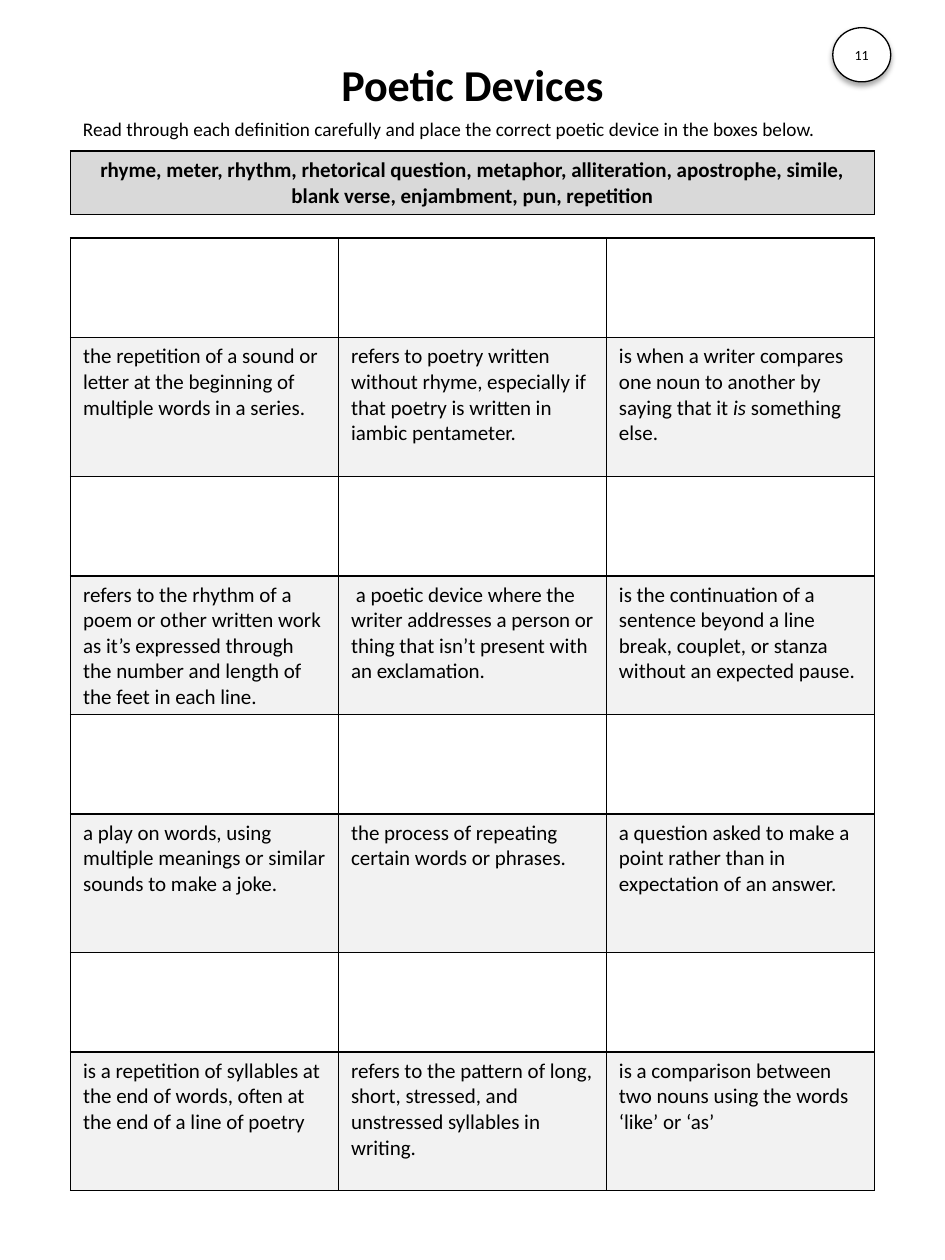
from lxml import etree
from pptx import Presentation
from pptx.dml.color import RGBColor
from pptx.enum import shapes, text
from pptx.oxml import ns
from pptx.util import Inches, Pt

TITLE = "Poetic Devices"
INSTRUCTION = ("Read through each definition carefully and place the correct "
               "poetic device in the boxes below.")
WORD_BANK = ("rhyme, meter, rhythm, rhetorical question, metaphor, alliteration, "
             "apostrophe, simile, blank verse, enjambment, pun, repetition")
PAGE_NUMBER = "11"
# A definition is a string, or a list of (words, italic) pieces
DEFINITIONS = [
    ["the repetition of a sound or letter at the beginning of multiple words in a series.",
     "refers to poetry written without rhyme, especially if that poetry is written in "
     "iambic pentameter.",
     [("is when a writer compares one noun to another by saying that it ", False),
      ("is", True), (" something else.", False)]],
    ["refers to the rhythm of a poem or other written work as it’s expressed through "
     "the number and length of the feet in each line.",
     " a poetic device where the writer addresses a person or thing that isn’t present "
     "with an exclamation.",
     "is the continuation of a sentence beyond a line break, couplet, or stanza without "
     "an expected pause."],
    ["a play on words, using multiple meanings or similar sounds to make a joke.",
     "the process of repeating certain words or phrases.",
     "a question asked to make a point rather than in expectation of an answer."],
    ["is a repetition of syllables at the end of words, often at the end of a line of poetry",
     "refers to the pattern of long, short, stressed, and unstressed syllables in writing.",
     "is a comparison between two nouns using the words ‘like’ or ‘as’"],
]

LEFT, WIDTH = 0.56, 6.38
ANSWER_HEIGHT, DEFINITION_HEIGHT = 0.79, 1.1
BLACK, WHITE, PALE_GREY, GREY = "000000", "FFFFFF", "F2F2F2", "D9D9D9"


def color(value):
    return RGBColor.from_string(value)


def write(frame, content, size=12, bold=False, align=text.PP_ALIGN.LEFT,
          anchor=text.MSO_ANCHOR.TOP):
    frame.word_wrap = True
    frame.vertical_anchor = anchor
    paragraph = frame.paragraphs[0]
    paragraph.alignment = align
    pieces = [(content, False)] if isinstance(content, str) else content
    for words, italic in pieces:
        run = paragraph.add_run()
        run.text = words
        run.font.name, run.font.size = "Calibri", Pt(size)
        run.font.bold, run.font.italic = bold, italic
        run.font.color.rgb = color(BLACK)


def add_grid(slide, top, row_heights, columns):
    grid = slide.shapes.add_table(len(row_heights), columns, Inches(LEFT), Inches(top),
                                  Inches(WIDTH), Inches(sum(row_heights))).table
    grid.first_row = grid.horz_banding = False
    for column in grid.columns:
        column.width = Inches(WIDTH / columns)
    for row, height in zip(grid.rows, row_heights):
        row.height = Inches(height)
    return grid


def style_cell(cell, fill):
    cell.fill.solid()
    cell.fill.fore_color.rgb = color(fill)
    properties = cell._tc.get_or_add_tcPr()
    for place, side in enumerate(("lnL", "lnR", "lnT", "lnB")):
        border = etree.Element(ns.qn(f"a:{side}"), w=str(Pt(1)))
        solid = etree.SubElement(border, ns.qn("a:solidFill"))
        etree.SubElement(solid, ns.qn("a:srgbClr"), val=BLACK)
        properties.insert(place, border)


def add_soft_shadow(shape):
    shape.shadow.inherit = False
    effects = shape._element.spPr.find(ns.qn("a:effectLst"))
    shadow = etree.SubElement(effects, ns.qn("a:outerShdw"), blurRad=str(Pt(3.1)),
                              dist=str(Pt(1.8)), dir="5400000", rotWithShape="0")
    tint = etree.SubElement(shadow, ns.qn("a:srgbClr"), val=BLACK)
    etree.SubElement(tint, ns.qn("a:alpha"), val="35000")


def add_text(slide, top, height, content, **style):
    box = slide.shapes.add_textbox(Inches(LEFT), Inches(top), Inches(WIDTH), Inches(height))
    write(box.text_frame, content, **style)


def main():
    deck = Presentation()
    deck.slide_width, deck.slide_height = Inches(7.5), Inches(10)
    slide = deck.slides.add_slide(deck.slide_layouts[6])
    centred = {"align": text.PP_ALIGN.CENTER}
    middle = {**centred, "anchor": text.MSO_ANCHOR.MIDDLE}

    # Heading
    add_text(slide, 0.45, 0.43, TITLE, size=25.2, bold=True, **middle)

    # Answer boxes, each above its definition
    matching = add_grid(slide, 1.89, [ANSWER_HEIGHT, DEFINITION_HEIGHT] * len(DEFINITIONS), 3)
    for group, definitions in enumerate(DEFINITIONS):
        for column, definition in enumerate(definitions):
            style_cell(matching.cell(2 * group, column), WHITE)
            definition_cell = matching.cell(2 * group + 1, column)
            style_cell(definition_cell, PALE_GREY)
            write(definition_cell.text_frame, definition)

    # Word bank and instruction
    bank_cell = add_grid(slide, 1.2, [0.5], 1).cell(0, 0)
    style_cell(bank_cell, GREY)
    write(bank_cell.text_frame, WORD_BANK, bold=True, **centred)
    add_text(slide, 0.88, 0.29, INSTRUCTION, size=11)

    # Page number badge
    badge = slide.shapes.add_shape(shapes.MSO_SHAPE.OVAL, Inches(6.61), Inches(0.22),
                                   Inches(0.46), Inches(0.43))
    badge.fill.solid()
    badge.fill.fore_color.rgb = color(WHITE)
    badge.line.color.rgb = color(BLACK)
    badge.line.width = Pt(0.75)
    add_soft_shadow(badge)
    badge.text_frame.margin_left = badge.text_frame.margin_right = 0
    write(badge.text_frame, PAGE_NUMBER, size=8, **middle)

    deck.save("out.pptx")


if __name__ == "__main__":
    main()
